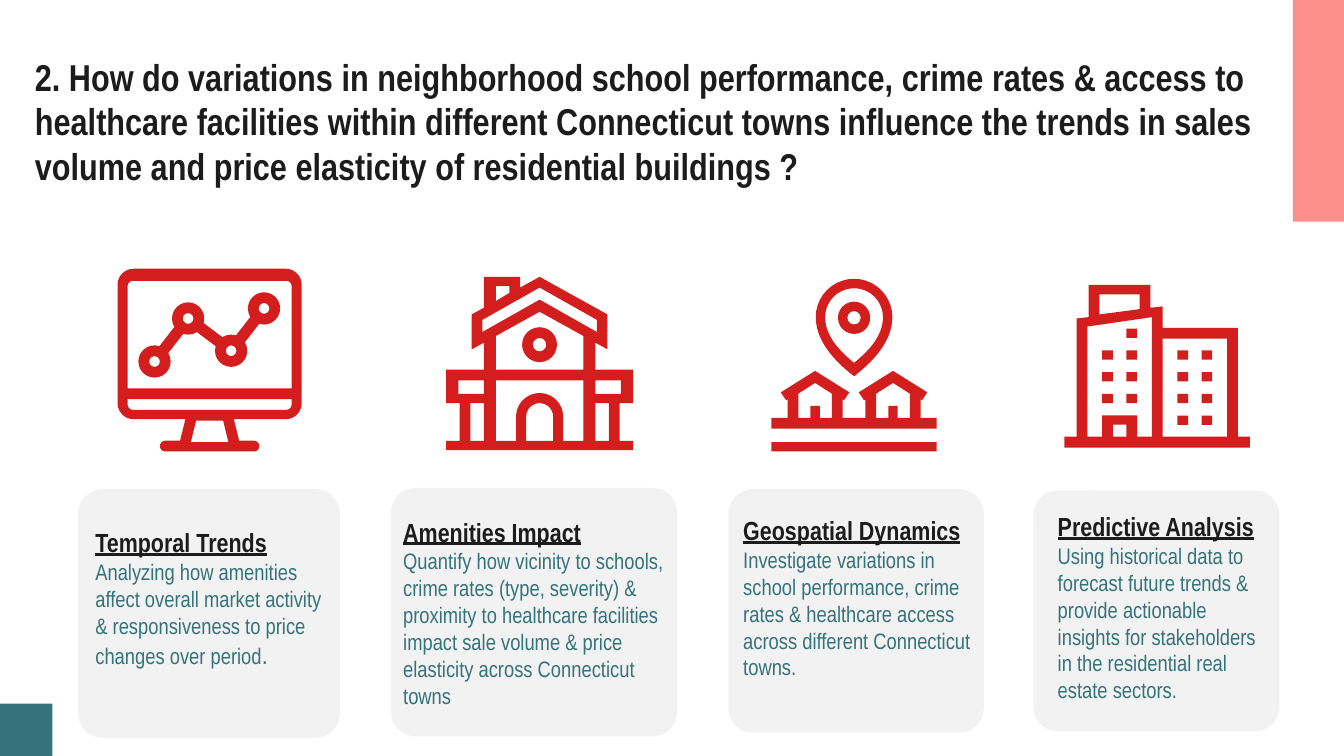
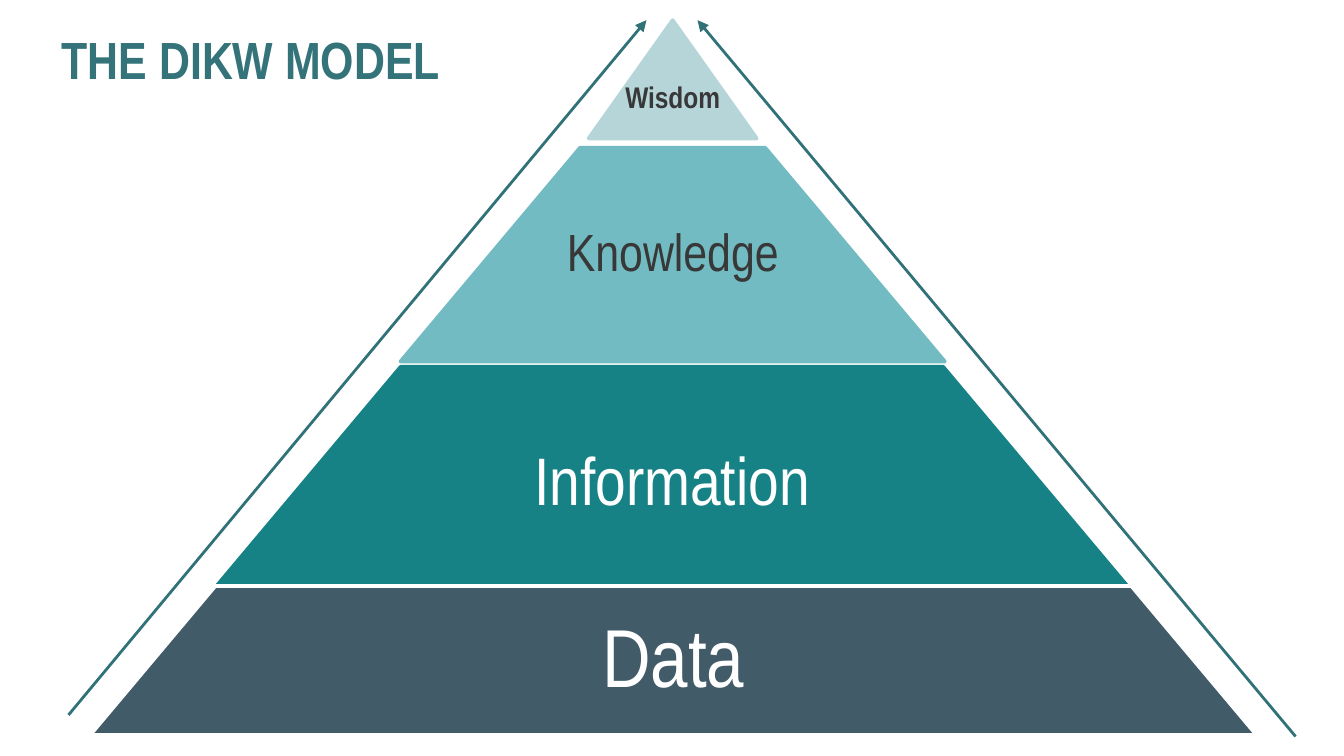
from dataclasses import dataclass
from math import cos, hypot, radians, sin

from lxml import etree
from pptx import Presentation
from pptx import util as u
from pptx.dml.color import RGBColor
from pptx.enum import shapes, text
from pptx.oxml import ns

CELL = u.Inches(0.1)
COLUMNS, ROWS = 100, 56.25


@dataclass(frozen=True)
class Theme:
    font: str = "Arial Narrow"
    ink: str = "1C1C1C"
    charcoal: str = "383838"
    teal: str = "347379"
    arrow: str = "317278"
    coral: str = "FF8F8A"
    card: str = "F2F2F2"
    icon: str = "D41E1E"
    white: str = "FFFFFF"
    wisdom: str = "B5D5D8"
    knowledge: str = "72BBC2"
    information: str = "178285"
    data: str = "425B68"
    question_size: float = 20
    headline_size: float = 28
    heading_size: float = 14
    body_size: float = 12


THEME = Theme()


def cells(*values):
    return [int(round(value * CELL)) for value in values]


def color(code):
    return RGBColor.from_string(code)


def add_run(paragraph, words, size, ink, bold=False, underline=False):
    run = paragraph.add_run()
    run.text = words
    font = run.font
    font.name, font.size, font.bold, font.underline = THEME.font, u.Pt(size), bold, underline
    font.color.rgb = color(ink)


def prepare_frame(frame, inset, anchor=text.MSO_ANCHOR.TOP):
    frame.word_wrap = True
    frame.auto_size = text.MSO_AUTO_SIZE.NONE
    frame.vertical_anchor = anchor
    frame.margin_left = frame.margin_right = u.Inches(inset[0])
    frame.margin_top = frame.margin_bottom = u.Inches(inset[1])
    return frame


def add_frame(slide, area, inset, anchor=text.MSO_ANCHOR.TOP):
    return prepare_frame(slide.shapes.add_textbox(*cells(*area)).text_frame, inset, anchor)


def titled_slide(deck, words, area, size, ink, inset):
    slide = deck.slides.add_slide(deck.slide_layouts[5])
    title = slide.shapes.title
    title.left, title.top, title.width, title.height = cells(*area)
    paragraph = prepare_frame(title.text_frame, inset).paragraphs[0]
    paragraph.alignment = text.PP_ALIGN.LEFT
    add_run(paragraph, words, size, ink, bold=True)
    return slide


def paint(shape, fill, outline=None):
    shape.shadow.inherit = False
    shape.fill.solid()
    shape.fill.fore_color.rgb = color(fill)
    if outline:
        shape.line.color.rgb = color(outline)
        shape.line.width = u.Pt(2)
    else:
        shape.line.fill.background()


def add_preset(slide, preset, area, fill, adjust=None, outline=None):
    shape = slide.shapes.add_shape(preset, *cells(*area))
    if adjust is not None:
        shape.adjustments[0] = adjust
    paint(shape, fill, outline)


def add_block(slide, area, fill):
    add_preset(slide, shapes.MSO_SHAPE.RECTANGLE, area, fill)


def add_stroke(slide, start, end, ink, width, arrow=False):
    stroke = slide.shapes.add_connector(shapes.MSO_CONNECTOR.STRAIGHT, *cells(*start, *end))
    stroke.line.color.rgb = color(ink)
    stroke.line.width = u.Pt(width)
    properties = stroke.line._get_or_add_ln()
    if arrow:
        etree.SubElement(properties, ns.qn("a:tailEnd"), type="triangle")
    etree.SubElement(properties.getparent(), ns.qn("a:effectLst"))


def add_ring(slide, center, radius, hole):
    x, y = center
    area = (x - radius, y - radius, 2 * radius, 2 * radius)
    add_preset(slide, shapes.MSO_SHAPE.DONUT, area, THEME.icon, (radius - hole) / (2 * radius))


def add_outline(slide, *contours):
    paths = [[cells(*point) for point in contour] for contour in contours]
    builder = slide.shapes.build_freeform(*paths[0][0], scale=1.0)
    for path in paths:
        builder.move_to(*path[0])
        builder.add_line_segments(path[1:], close=True)
    paint(builder.convert_to_shape(), THEME.icon)


def box(x, y, width, height):
    return [(x, y), (x, y + height), (x + width, y + height), (x + width, y)]


def arc(x, y, radius, start, end, steps=10):
    angles = [radians(start + (end - start) * step / steps) for step in range(steps + 1)]
    return [(x + radius * cos(angle), y + radius * sin(angle)) for angle in angles]


def symmetric(axis, half):
    return half + [(2 * axis - x, y) for x, y in reversed(half)]


def pin(x, y, radius, tip):
    steps = [step / 12 for step in range(1, 13)]
    side = [(x - radius * (1 - t * t), y + (tip - y) * t) for t in steps]
    return symmetric(x, arc(x, y, radius, 270, 180) + side)


def draw_trend_monitor(slide):
    axis = 15.6
    add_outline(
        slide,
        symmetric(axis, [(axis, 20), *arc(9.95, 21.2, 1.2, 270, 180), *arc(9.95, 30, 1.2, 180, 90),
                         (13.8, 31.2), (13.4, 32.8), *arc(12.3, 33.2, 0.4, 270, 90)]),
        symmetric(axis, [(axis, 20.9), *arc(9.9, 21.3, 0.4, 270, 180), (9.5, 28.9)]),
        symmetric(axis, [(axis, 29.7), (9.5, 29.7), *arc(9.9, 30.1, 0.4, 180, 90)]),
        symmetric(axis, [(14.6, 31.3), (14.2, 32.9)]))
    nodes = [(11.5, 26.9), (14, 23.7), (17.2, 26.1), (19.65, 22.95)]
    for (x1, y1), (x2, y2) in zip(nodes, nodes[1:]):
        trim = 0.8 / hypot(x2 - x1, y2 - y1)
        dx, dy = (x2 - x1) * trim, (y2 - y1) * trim
        add_stroke(slide, (x1 + dx, y1 + dy), (x2 - dx, y2 - dy), THEME.icon, 6)
    for node in nodes:
        add_ring(slide, node, 1.2, 0.4)


def draw_school(slide):
    axis = 40.15
    wall = [(35.1, 23.4), (35.1, 26), (36, 25.5), (36, 27.5), (33.2, 27.5), (33.2, 30),
            (34.2, 30), (34.2, 32.8), (33.2, 32.8), (33.2, 33.5)]
    chimney = [(38.7, 21.4), (38.7, 20.6), (36, 20.6), (36, 22.9)]
    sides = [box(x, y, width, height)
             for left, y, width, height in [(34.1, 28.3, 1.9, 1), (35, 30, 1, 2.8)]
             for x in (left, 2 * axis - left - width)]
    add_outline(
        slide,
        [(axis, 20.6), *chimney, *symmetric(axis, wall)],
        [(37.9, 21.3), (37.9, 21.8), (36.9, 22.4), (36.9, 21.3)],
        symmetric(axis, [(axis, 21.4), (35.9, 23.8), (35.9, 24.7), (axis, 22.3)]),
        symmetric(axis, [(axis, 23.2), (36.9, 25), (36.9, 27.5)]),
        symmetric(axis, [(axis, 28.3), (36.9, 28.3), (36.9, 32.8), (38.4, 32.8),
                         *arc(axis, 31, 1.75, 180, 270)]),
        symmetric(axis, [*arc(axis, 31, 1, 270, 180), (39.15, 32.8)]),
        *sides)
    add_ring(slide, (axis, 25.65), 1.3, 0.5)


def draw_located_homes(slide):
    axis = 63.55
    homes = [(62.7, 31.1), (62.7, 29.7), (62.8, 29.8), (63.2, 29.2), (60.65, 27.6), (58.1, 29.2),
             (58.5, 29.8), (58.6, 29.7), (58.6, 31.1), (57.4, 31.1), (57.4, 31.9)]
    rooms = [symmetric(x, [(x, 28.5), (x - 1.25, 29.3), (x - 1.25, 31.1),
                           (x - 0.35, 31.1), (x - 0.35, 30.2)]) for x in (60.65, 66.45)]
    add_outline(slide, symmetric(axis, homes), *rooms)
    add_block(slide, (57.4, 32.9, 12.3, 0.7), THEME.icon)
    add_outline(slide, pin(axis, 23.6, 2.85, 28), pin(axis, 23.6, 2.15, 27))
    add_ring(slide, (axis, 23.65), 1.2, 0.5)


def draw_offices(slide):
    add_outline(
        slide,
        [(81, 21.2), (81, 23.6), (80.1, 23.7), (80.1, 32.5), (79.2, 32.5), (79.2, 33.3), (93, 33.3),
         (93, 32.5), (92.1, 32.5), (92.1, 24.4), (86.5, 24.4), (86.5, 22.8), (85.6, 22.9), (85.6, 21.2)],
        [(84.8, 21.9), (84.8, 23), (81.8, 23.4), (81.8, 21.9)],
        [(85.7, 23.6), (85.7, 32.5), (84.6, 32.5), (84.6, 30.9), (82, 30.9), (82, 32.5),
         (80.9, 32.5), (80.9, 24.3)],
        box(82.8, 31.6, 1, 0.9),
        box(86.5, 25.2, 4.8, 7.3))
    for x, floors in [(82, range(1, 4)), (83.8, range(4)), (87.6, range(1, 5)), (89.4, range(1, 5))]:
        for floor in floors:
            add_block(slide, (x, 24.45 + 1.62 * floor, 0.8, 0.7), THEME.icon)


def add_card(slide, panel, left, top, width, heading, body):
    add_preset(slide, shapes.MSO_SHAPE.ROUNDED_RECTANGLE, panel, THEME.card, 0.1)
    height = panel[1] + panel[3] - top
    frame = add_frame(slide, (left, top, width, height), (0.13, 0.13))
    add_run(frame.paragraphs[0], heading, THEME.heading_size, THEME.ink, True, True)
    for runs in body:
        paragraph = frame.add_paragraph()
        for words, size in runs:
            add_run(paragraph, words, size, THEME.teal)


def add_tier(slide, area, fill, outline, label, size, ink, bold=False, drop=0, share=0.65):
    left, top, width, height = area
    add_preset(slide, shapes.MSO_SHAPE.TRAPEZOID, area, fill, 0.84, outline)
    label_area = (left + width * (1 - share) / 2, top + drop, width * share, height - drop)
    frame = add_frame(slide, label_area, (0.04, 0.04), text.MSO_ANCHOR.MIDDLE)
    paragraph = frame.paragraphs[0]
    paragraph.alignment = text.PP_ALIGN.CENTER
    paragraph.line_spacing = 0.9
    add_run(paragraph, label, size, ink, bold)


def build_question(deck):
    slide = titled_slide(
        deck,
        "2. How do variations in neighborhood school performance, crime rates & access to healthcare "
        "facilities within different Connecticut towns influence the trends in sales volume and price "
        "elasticity of residential buildings ?",
        (1.6, 3, 93.7, 18.8), THEME.question_size, THEME.ink, (0.1, 0.1))
    add_block(slide, (0, ROWS - 3.9, 3.9, 3.9), THEME.teal)
    add_block(slide, (COLUMNS - 3.8, 0, 3.8, 16.5), THEME.coral)
    size = THEME.body_size
    cards = [
        ((5.8, 36.4, 19.5, 18.5), 5.8, 37.9, 20.3, "Temporal Trends",
         [[("Analyzing how amenities affect overall market activity & responsiveness to price changes "
            "over period", size), (".", THEME.heading_size)]]),
        ((29.1, 36.3, 21.3, 18.5), 28.7, 37.1, 24.2, "Amenities Impact",
         [[("Quantify how vicinity to schools, crime rates (type, severity) & proximity to healthcare "
            "facilities impact sale volume & price elasticity across Connecticut", size)],
          [("towns", size)]]),
        ((54.2, 36.4, 19, 18.1), 54, 37, 19.9, "Geospatial Dynamics",
         [[("Investigate variations in school performance, crime rates & healthcare access across "
            "different Connecticut towns.", size)]]),
        ((76.9, 36.5, 18.3, 17.9), 77.4, 36.7, 17.9, "Predictive Analysis",
         [[("Using historical data to forecast future trends & provide actionable insights for "
            "stakeholders in the residential real estate sectors.", size)]]),
    ]
    for card in cards:
        add_card(slide, *card)
    for draw_icon in (draw_trend_monitor, draw_school, draw_located_homes, draw_offices):
        draw_icon(slide)


def build_pyramid(deck):
    slide = titled_slide(deck, "THE DIKW MODEL", (3.6, 1.5, 33.3, 5.7),
                         THEME.headline_size, THEME.teal, (0.1, 0.05))
    add_tier(slide, (43.8, 1.5, 12.5, 8.8), THEME.wisdom, THEME.wisdom, "Wisdom", 16,
             THEME.charcoal, bold=True, drop=2.9, share=1)
    add_tier(slide, (29.8, 11, 40.5, 15.9), THEME.knowledge, THEME.knowledge, "Knowledge", 28,
             THEME.charcoal)
    add_tier(slide, (15.2, 27.3, 69.6, 17.4), THEME.information, THEME.information, "Information", 36,
             THEME.white)
    add_tier(slide, (6.7, 43.6, 86.8, 11.1), THEME.data, THEME.white, "Data", 44, THEME.white)
    for base, peak in [((5.1, 53.2), (48.1, 1.5)), ((96.4, 54.8), (51.9, 1.5))]:
        add_stroke(slide, base, peak, THEME.arrow, 1.5, arrow=True)


def main():
    deck = Presentation()
    deck.slide_width, deck.slide_height = cells(COLUMNS, ROWS)
    build_question(deck)
    build_pyramid(deck)
    deck.save("out.pptx")


if __name__ == "__main__":
    main()
